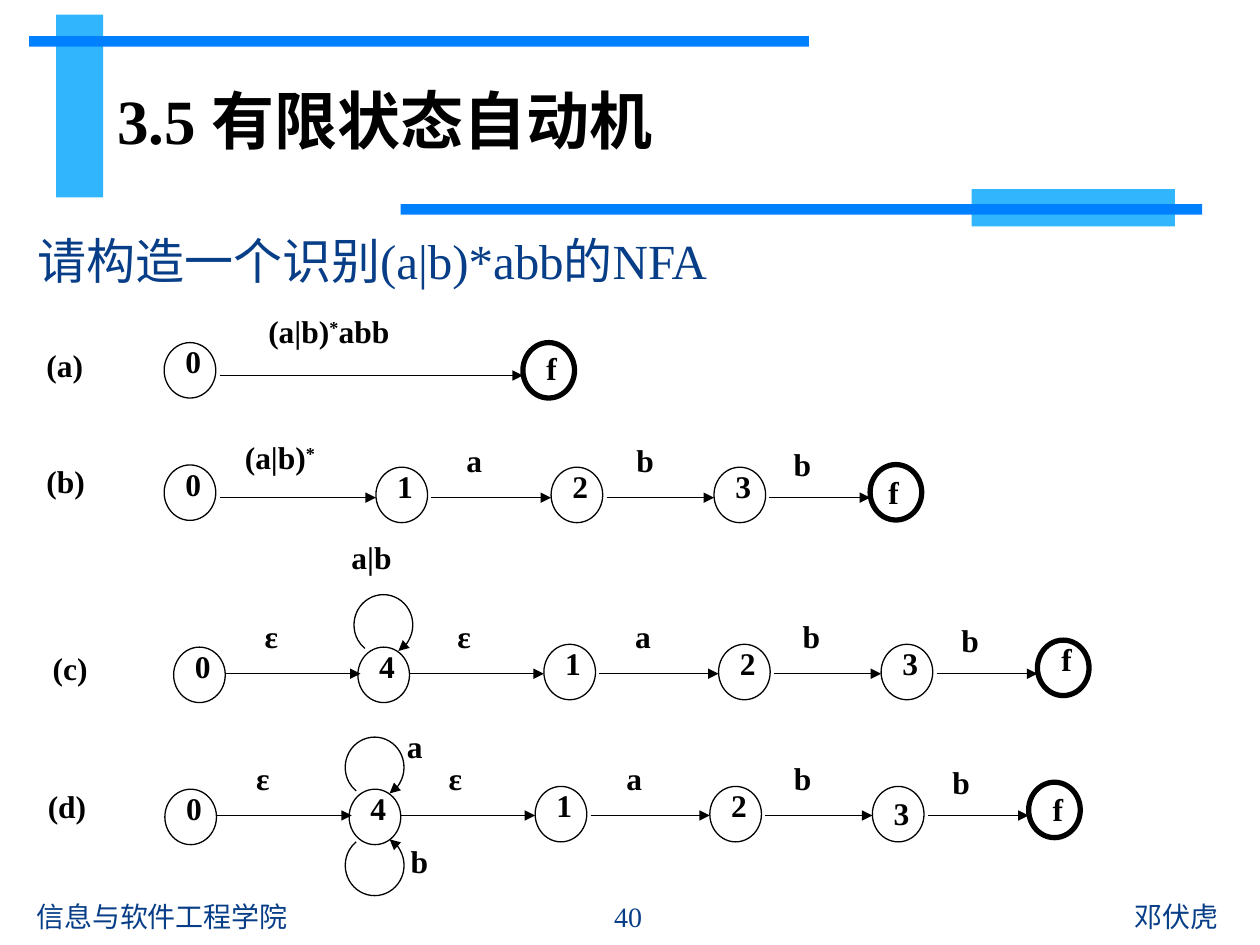
from dataclasses import dataclass

from pptx import Presentation
from pptx.dml.color import RGBColor
from pptx.enum import shapes as kinds, text as txt
from pptx.oxml import ns, xmlchemy as xc
from pptx.util import Pt


@dataclass(frozen=True)
class Theme:
    block: RGBColor = RGBColor(0x31, 0xB6, 0xFD)
    bar: RGBColor = RGBColor(0x00, 0x80, 0xFF)
    navy: RGBColor = RGBColor(0x07, 0x3E, 0x87)
    ink: RGBColor = RGBColor(0, 0, 0)
    serif: str = "Times New Roman"
    title_size: int = 36
    body_size: int = 28
    diagram_size: int = 18
    footer_size: int = 16


THEME = Theme()
NODE_W, NODE_H = 29.5, 31.7
LOOP_W, LOOP_H = 33.6, 34.6
TOP, MIDDLE = txt.MSO_ANCHOR.TOP, txt.MSO_ANCHOR.MIDDLE
LEFT, CENTER, RIGHT = txt.PP_ALIGN.LEFT, txt.PP_ALIGN.CENTER, txt.PP_ALIGN.RIGHT

# States are (name, left, top); labels are (wording, left, top).
STATES_A = [("0", 93.8, 195.8), ("f", 298.8, 195.8)]
STATES_B = [("0", 93.8, 265.7), ("1", 214.8, 267), ("2", 314.9, 267),
            ("3", 408, 267), ("f", 497.2, 265.5)]
STATES_C = [("0", 99.2, 369.8), ("4", 204.5, 369.8), ("1", 310.8, 368.2),
            ("2", 410.6, 368.2), ("3", 503.5, 368.2), ("f", 592.8, 365.8)]
LABELS_A = [("(a)", 19.4, 194.4), ("(a|b)*abb", 146.2, 175)]
LABELS_B = [("(b)", 19.4, 260.6), ("(a|b)*", 132.8, 247), ("a", 259.4, 248.4),
            ("b", 356.6, 248.4), ("b", 446.4, 250.6)]
LABELS_C = [("ε", 144.2, 349.2), ("ε", 254.3, 349.2), ("a", 355.9, 349.2),
            ("b", 451.6, 349.2), ("b", 542.2, 351.4)]
ROW_D_SHIFT = (-5, 81.2)


def shifted(items, dx, dy):
    return [(name, x + dx, y + dy) for name, x, y in items]


def add_bar(slide, color, *box):
    bar = slide.shapes.add_shape(kinds.MSO_SHAPE.RECTANGLE, *map(Pt, box))
    bar.shadow.inherit = False
    bar.fill.solid()
    bar.fill.fore_color.rgb = color
    bar.line.fill.background()


def add_text(slide, box, parts, size, color, font=THEME.serif, bold=False,
             align=LEFT, anchor=TOP):
    """Write one paragraph; each part is a wording with its own font or the default."""
    frame = slide.shapes.add_textbox(*map(Pt, box)).text_frame
    frame.word_wrap = True
    frame.vertical_anchor = anchor
    paragraph = frame.paragraphs[0]
    paragraph.alignment = align
    for wording, own_font in parts:
        run = paragraph.add_run()
        run.text = wording
        run.font.name = own_font or font
        run.font.size = Pt(size)
        run.font.bold = bold
        run.font.color.rgb = color
    return paragraph


def add_label(slide, wording, left, top):
    """Write a bold label, raising every star to a superscript."""
    before, star, after = wording.partition("*")
    parts = [(part, None) for part in (before, star, after) if part]
    paragraph = add_text(slide, (left, top, 126, 41), parts,
                         THEME.diagram_size, THEME.ink, bold=True)
    for run in paragraph.runs:
        if run.text == "*":
            run._r.get_or_add_rPr().set("baseline", "30000")


def add_state(slide, name, left, top, name_offset=(-1.7, -3.7), anchor=TOP):
    """Draw a state circle, thick when accepting, with its name."""
    circle = slide.shapes.add_shape(kinds.MSO_SHAPE.OVAL, Pt(left), Pt(top),
                                    Pt(NODE_W), Pt(NODE_H))
    circle.shadow.inherit = False
    circle.fill.background()
    circle.line.color.rgb = THEME.ink
    circle.line.width = Pt(3 if name == "f" else 0.75)
    dx, dy = name_offset
    add_text(slide, (left + dx, top + dy, 36.7, 37.4), [(name, None)],
             THEME.diagram_size, THEME.ink, bold=True, align=CENTER, anchor=anchor)


def add_arrowhead(line, end):
    xc.OxmlElement  # element factory shared with the shadow reset below
    head = xc.OxmlElement(f"a:{end}")
    head.set("type", "triangle")
    line._get_or_add_ln().append(head)


def add_arrow(slide, start, end, y):
    arrow = slide.shapes.add_connector(kinds.MSO_CONNECTOR.STRAIGHT,
                                       Pt(start), Pt(y), Pt(end), Pt(y))
    arrow.line.color.rgb = THEME.ink
    arrow.line.width = Pt(0.75)
    add_arrowhead(arrow.line, "tailEnd")
    arrow._element.find(ns.qn("p:spPr")).append(xc.OxmlElement("a:effectLst"))


def add_loop(slide, left, top, first_angle, last_angle, arrow_end):
    """Draw an open clockwise loop between two angles in degrees."""
    loop = slide.shapes.add_shape(kinds.MSO_SHAPE.ARC, Pt(left), Pt(top),
                                  Pt(LOOP_W), Pt(LOOP_H))
    loop.shadow.inherit = False
    for index, angle in enumerate((first_angle, last_angle)):
        loop.adjustments[index] = angle * 0.6
    loop.fill.background()
    loop.line.color.rgb = THEME.ink
    loop.line.width = Pt(0.75)
    add_arrowhead(loop.line, arrow_end)


def add_chain(slide, states, labels, arrow_y, name_styles=None):
    """Draw states joined left to right; name_styles holds exceptions by state."""
    for state in states:
        add_state(slide, *state, **(name_styles or {}).get(state[0], {}))
    has_loop_state = any(name == "4" for name, _, _ in states)
    for (name, left, _), (target, target_left, _) in zip(states, states[1:]):
        gap = 0 if has_loop_state and name in "04" else 2.2
        overlap = 1.5 if target == "4" else 0
        add_arrow(slide, left + NODE_W + gap, target_left + overlap, arrow_y)
    for label in labels:
        add_label(slide, *label)


def add_frame(slide):
    """Add the bars, heading, task line and footer."""
    add_bar(slide, THEME.block, 32, 8.4, 27, 104.4)
    add_bar(slide, THEME.bar, 16.6, 20.6, 445.7, 6.1)
    add_bar(slide, THEME.block, 555.3, 108, 116.1, 21.4)
    add_bar(slide, THEME.bar, 229, 116.7, 457.9, 6)
    add_text(slide, (59.8, 31.7, 555.8, 73.4),
             [("3.5 ", None), ("有限状态自动机", "Arial")],
             THEME.title_size, THEME.ink, bold=True, anchor=MIDDLE)
    task = add_text(slide, (14.4, 128.2, 686.2, 45),
                    [("请构造一个识别(a|b)*abb的NFA", None)],
                    THEME.body_size, THEME.navy)
    task.space_before = Pt(5.6)
    for wording, left, width, font, align in (
            ("信息与软件工程学院", 13.7, 298, "Calibri", LEFT),
            ("40", 313.2, 91.4, THEME.serif, CENTER),
            ("邓伏虎", 405.4, 298, "Calibri", RIGHT)):
        add_text(slide, (left, 509, width, 28.8), [(wording, font)],
                 THEME.footer_size, THEME.navy, align=align, anchor=MIDDLE)


def add_automata(slide):
    add_chain(slide, STATES_A, LABELS_A, 214.6,
              {"f": {"name_offset": (-2, 0)}})
    add_chain(slide, STATES_B, LABELS_B, 284.4,
              {"f": {"name_offset": (-5, -2.9), "anchor": MIDDLE}})
    add_chain(slide, STATES_C, LABELS_C + [("(c)", 23, 367.2), ("a|b", 193.7, 303.8)],
              385)
    add_chain(slide, shifted(STATES_C, *ROW_D_SHIFT),
              shifted(LABELS_C, *ROW_D_SHIFT)
              + [("(d)", 20.2, 446.4), ("a", 225.4, 411.8), ("b", 227.5, 477.4)],
              466, {name: {"anchor": MIDDLE} for name in "3f"})
    add_loop(slide, 202.3, 339.8, 128, 60, "tailEnd")
    add_loop(slide, 197.3, 421.2, 128, 60, "tailEnd")
    add_loop(slide, 197.3, 477.2, 300, 232, "headEnd")


def main():
    deck = Presentation()
    deck.slide_width, deck.slide_height = Pt(720), Pt(540)
    slide = deck.slides.add_slide(deck.slide_layouts[6])
    add_frame(slide)
    add_automata(slide)
    deck.save("out.pptx")


if __name__ == "__main__":
    main()
